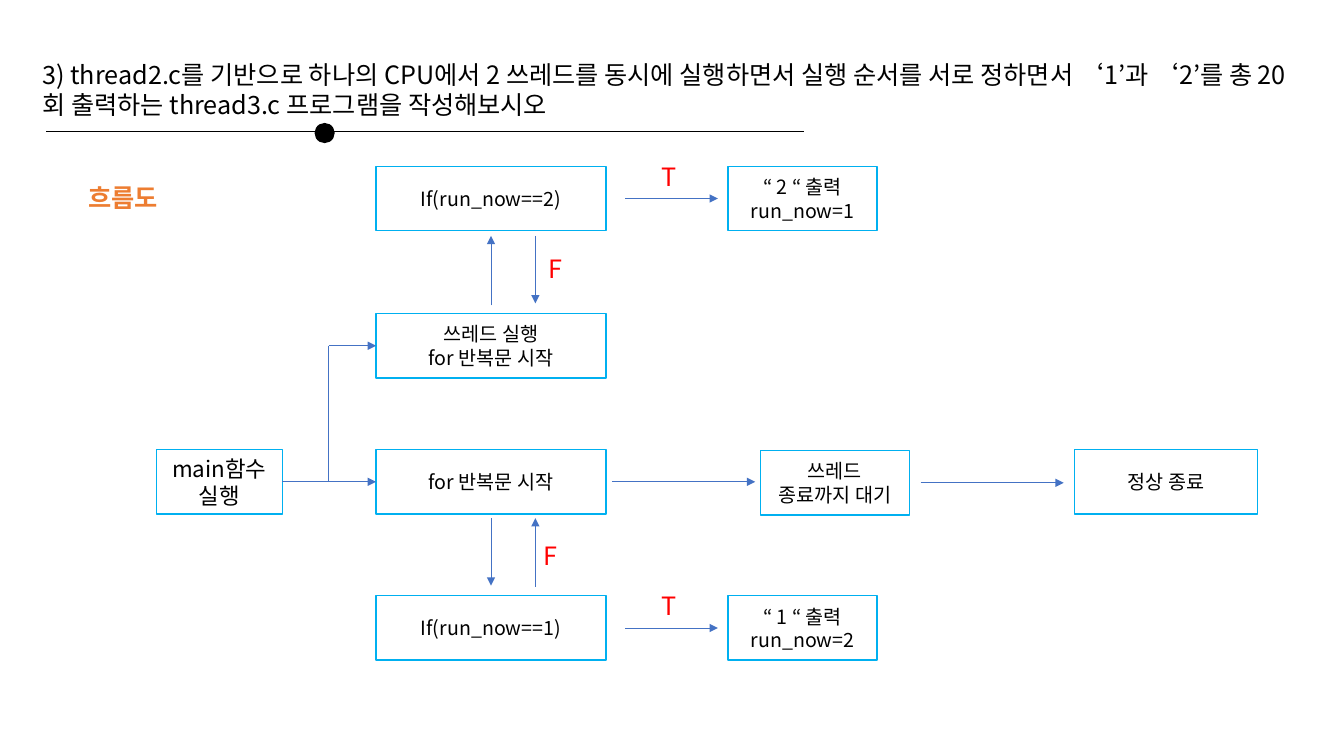
import pptx
import pptx.util
import pptx.dml.color
import pptx.enum.shapes
import pptx.enum.text
import pptx.oxml.ns
import lxml.etree

PX = 9144  # 100 px to the inch
FONT = "Noto Sans CJK KR"
BLACK, WHITE, RED, ORANGE = "000000", "FFFFFF", "FF0000", "ED7D31"
CYAN, BLUE = "00B0F0", "4472C4"
TALL = 64
ALIGN = pptx.enum.text.PP_ALIGN
ANCHOR = pptx.enum.text.MSO_ANCHOR
SHAPE = pptx.enum.shapes.MSO_SHAPE


def px(*vals):
    return [pptx.util.Emu(val * PX) for val in vals]


def color(code):
    return pptx.dml.color.RGBColor.from_string(code)


def node(parent, tag, **attrs):
    """Append a drawing element to parent."""
    return lxml.etree.SubElement(parent, pptx.oxml.ns.qn(tag), **attrs)


def write(shape, lines, size, ink=BLACK, bold=False, align=ALIGN.LEFT,
          anchor=ANCHOR.TOP):
    frame = shape.text_frame
    frame.word_wrap = True
    frame.auto_size = pptx.enum.text.MSO_AUTO_SIZE.NONE
    frame.vertical_anchor = anchor
    for i, line in enumerate(lines):
        para = frame.add_paragraph() if i else frame.paragraphs[0]
        para.alignment = align
        para.line_spacing = pptx.util.Pt(size * 1.2)
        run = para.add_run()
        run.text = line
        font = run.font
        font.size = pptx.util.Pt(size)
        font.bold = bold
        font.color.rgb = color(ink)
        font.name = FONT
        node(font._element, "a:ea", typeface=FONT)


def label(slide, x, y, wide, text, ink, bold=False):
    box = slide.shapes.add_textbox(*px(x, y, wide, 42))
    write(box, [text], 18, ink, bold)


def block(slide, x, y, wide, lines, size=14):
    """Draw one step of the flow."""
    box = slide.shapes.add_shape(SHAPE.RECTANGLE, *px(x, y, wide, TALL))
    box.shadow.inherit = False
    box.fill.solid()
    box.fill.fore_color.rgb = color(WHITE)
    box.line.color.rgb = color(CYAN)
    box.line.width = pptx.util.Pt(1)
    write(box, lines, size, align=ALIGN.CENTER, anchor=ANCHOR.MIDDLE)
    return box


def line(slide, x1, y1, x2, y2, ink=BLUE, head=True):
    link = slide.shapes.add_connector(
        pptx.enum.shapes.MSO_CONNECTOR.STRAIGHT, *px(x1, y1, x2, y2))
    link.line.color.rgb = color(ink)
    link.line.width = pptx.util.Pt(0.5)
    if head:
        node(link.line._get_or_add_ln(), "a:tailEnd", type="triangle")
    node(link._element.spPr, "a:effectLst")
    return link


def header(slide):
    title = slide.shapes.title
    title.left, title.top, title.width, title.height = px(32, 54, 1268, 71)
    write(title, ["3) thread2.c를 기반으로 하나의 CPU에서 2 쓰레드를 동시에 "
                  "실행하면서 실행 순서를 서로 정하면서 ‘1’과 ‘2’를 총 20회 "
                  "출력하는 thread3.c 프로그램을 작성해보시오"], 18)
    line(slide, 46, 130, 797, 130, BLACK, False)
    dot = slide.shapes.add_shape(SHAPE.OVAL, *px(312, 122, 20, 20))
    dot.shadow.inherit = False
    dot.fill.solid()
    dot.fill.fore_color.rgb = color(BLACK)
    dot.line.fill.background()
    label(slide, 78, 176, 190, "흐름도", ORANGE, True)


def branch(slide, y, now, after):
    """Draw a test of run_now with its true branch."""
    block(slide, 373, y, 228, [f"If(run_now=={now})"])
    line(slide, 620, y + 32, 712, y + 32)
    label(slide, 646, y - 10, 47, "T", RED)
    block(slide, 722, y, 148, [f"“ {now} “ 출력", f"run_now={after}"])


def main():
    deck = pptx.Presentation()
    deck.slide_width, deck.slide_height = px(1333, 750)
    slide = deck.slides.add_slide(deck.slide_layouts[5])
    header(slide)

    start = block(slide, 155, 446, 125, ["main함수 실행"], 16)
    thread = block(slide, 373, 311, 228, ["쓰레드 실행", "for 반복문 시작"])
    loop = block(slide, 373, 446, 228, ["for 반복문 시작"])
    block(slide, 754, 447, 148, ["쓰레드 종료까지 대기"])
    block(slide, 1066, 446, 181, ["정상 종료"])

    link = line(slide, 280, 478, 373, 478)
    link.begin_connect(start, 3)
    link.end_connect(loop, 1)
    line(slide, 326, 478, 326, 343, head=False)
    line(slide, 326, 343, 373, 343).end_connect(thread, 1)
    line(slide, 607, 478, 749, 478)
    line(slide, 913, 479, 1055, 479)

    branch(slide, 165, 2, 1)
    branch(slide, 591, 1, 2)
    for x, y1, y2 in [(487, 303, 234), (531, 234, 301),
                      (487, 514, 581), (531, 582, 514)]:
        line(slide, x, y1, x, y2)
    label(slide, 534, 246, 47, "F", RED)
    label(slide, 529, 531, 47, "F", RED)
    deck.save("out.pptx")


if __name__ == "__main__":
    main()
